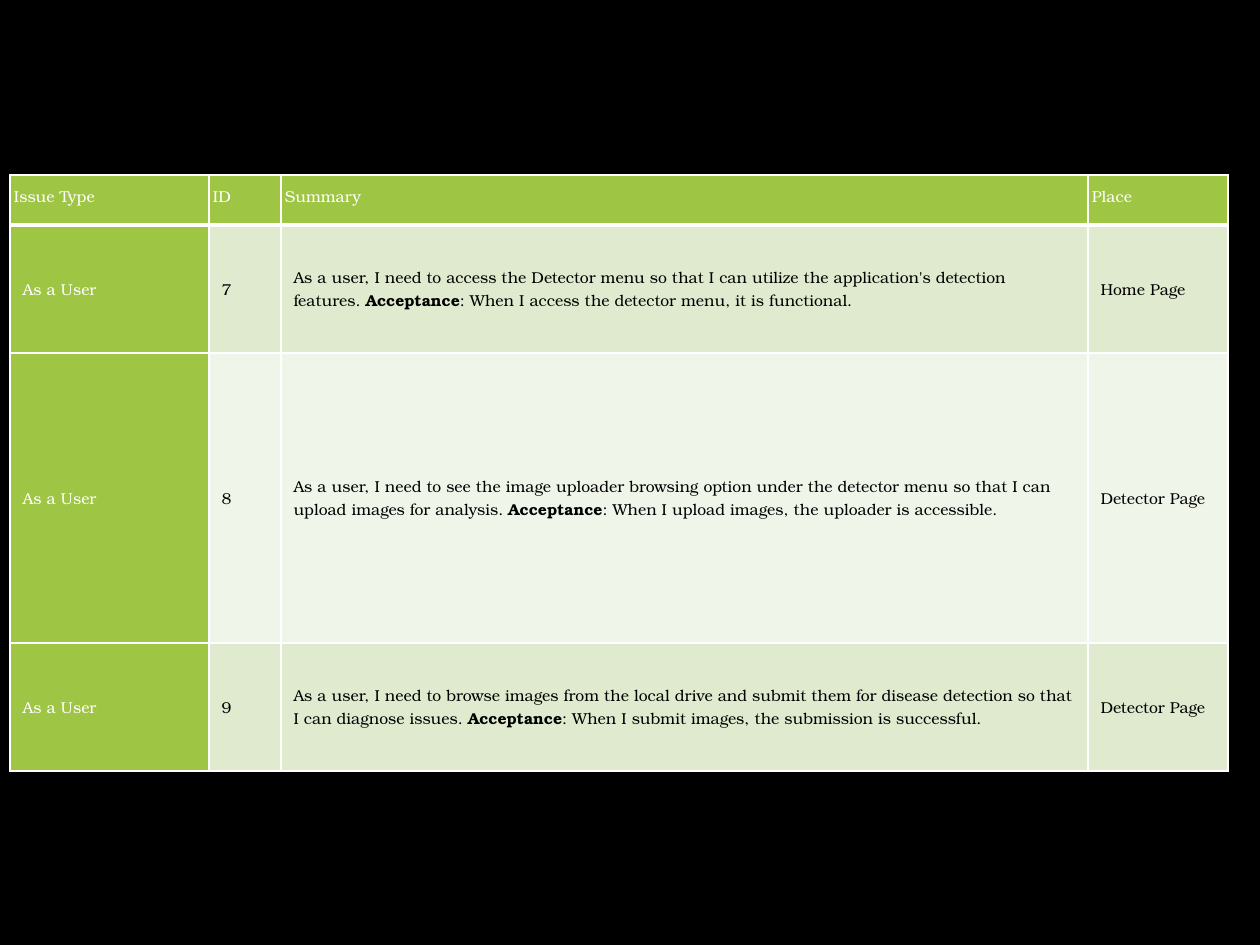
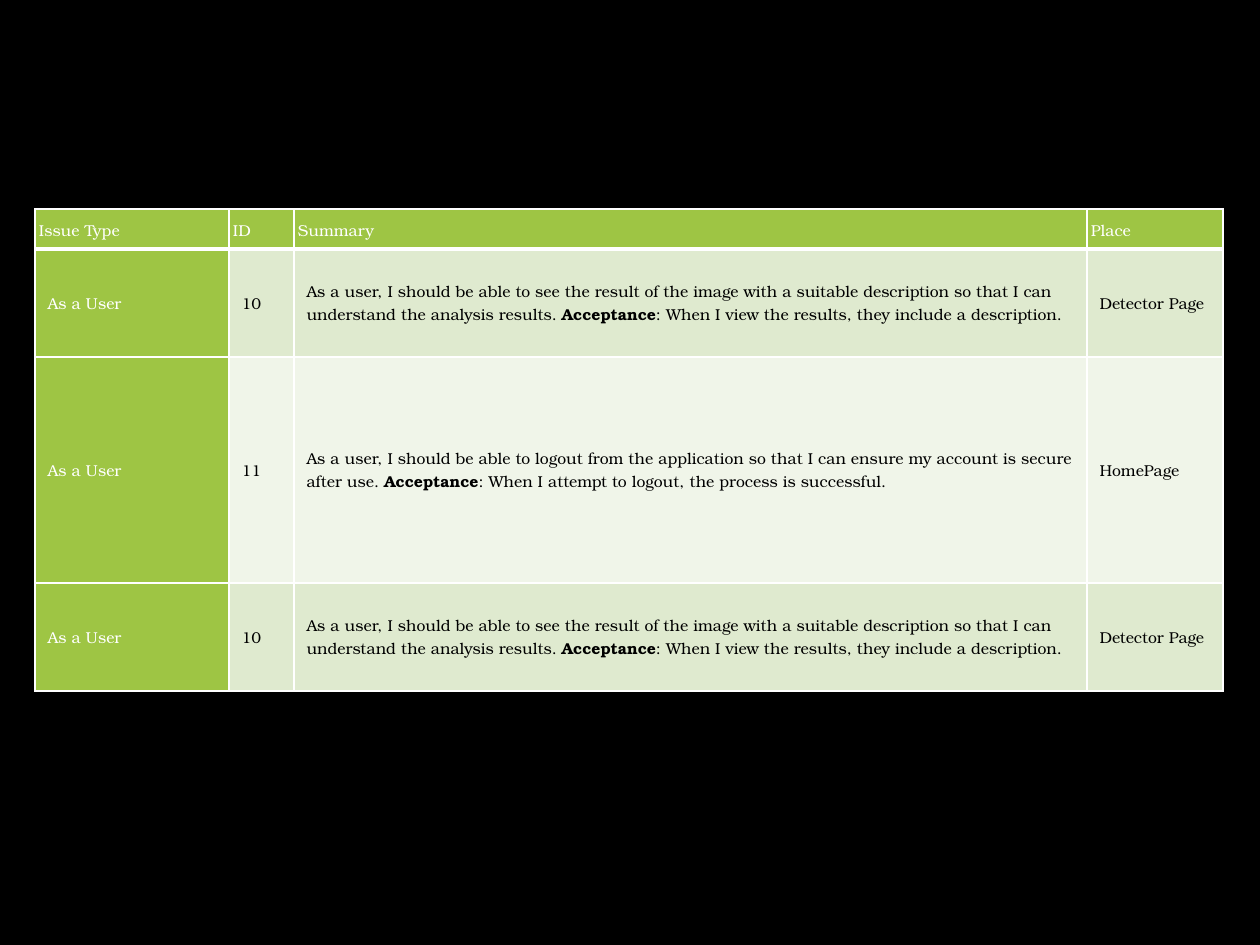
from dataclasses import dataclass

from lxml import etree
from pptx import Presentation
from pptx import util as u
from pptx.dml.color import RGBColor
from pptx.enum import text as t
from pptx.oxml import ns


@dataclass(frozen=True)
class Theme:
    """Colours, font and sizes shared by the slides."""
    back: str = "000000"
    ink: str = "000000"
    pale: str = "FFFFFF"
    green: str = "9EC544"
    bands: tuple = ("DFEACF", "F0F5E9")
    font: str = "TeX Gyre Bonum"
    size: int = 9
    thin: int = 1
    thick: int = 3


THEME = Theme()
HEADS = ("Issue Type", "ID", "Summary", "Place")
ROLE = "As a User"
RESULT = ("10", "As a user, I should be able to see the result of the image with a suitable "
          "description so that I can understand the analysis results. ",
          ": When I view the results, they include a description.", "Detector Page")

PAGES = (
    dict(left=10, top=175, cols=(199, 72, 807, 140), rows=(50, 128, 290, 128), stories=(
        ("7", "As a user, I need to access the Detector menu so that I can utilize the "
         "application's detection features. ",
         ": When I access the detector menu, it is functional.", "Home Page"),
        ("8", "As a user, I need to see the image uploader browsing option under the "
         "detector menu so that I can upload images for analysis. ",
         ": When I upload images, the uploader is accessible.", "Detector Page"),
        ("9", "As a user, I need to browse images from the local drive and submit them for "
         "disease detection so that I can diagnose issues. ",
         ": When I submit images, the submission is successful.", "Detector Page"))),
    dict(left=35, top=209, cols=(194, 65, 793, 136), rows=(40, 108, 226, 108), stories=(
        RESULT,
        ("11", "As a user, I should be able to logout from the application so that I can "
         "ensure my account is secure after use. ",
         ": When I attempt to logout, the process is successful.", "HomePage"),
        RESULT)),
)


def px(n):
    """Turn pixels into EMU."""
    return u.Emu(round(n * 914400 / 126))


def rgb(code):
    """Make a colour from its hex code."""
    return RGBColor.from_string(code)


def edge(cell, base):
    """Draw the four borders of a cell, the lower one base points wide."""
    props = cell._tc.get_or_add_tcPr()
    for side, width in zip("LRTB", (THEME.thin,) * 3 + (base,)):
        line = etree.SubElement(props, ns.qn(f"a:ln{side}"), w=str(u.Pt(width)))
        fill = etree.SubElement(line, ns.qn("a:solidFill"))
        etree.SubElement(fill, ns.qn("a:srgbClr"), val=THEME.pale)


def write(cell, runs, fill, ink, base=THEME.thin):
    """Fill a cell with (words, bold) runs and return its paragraph."""
    edge(cell, base)
    cell.fill.solid()
    cell.fill.fore_color.rgb = rgb(fill)
    para = cell.text_frame.paragraphs[0]
    for words, bold in runs:
        run = para.add_run()
        run.text = words
        if bold:
            run.font.bold = True
    para.font.name = THEME.font
    para.font.size = u.Pt(THEME.size)
    para.font.color.rgb = rgb(ink)
    return para


def header(cells):
    """Write the row of column heads."""
    for cell, name in zip(cells, HEADS):
        para = write(cell, [(name, False)], THEME.green, THEME.pale, THEME.thick)
        para.alignment = t.PP_ALIGN.JUSTIFY
        para.line_spacing = 1.5
        para.space_after = u.Pt(8)
        cell.margin_left = cell.margin_right = px(4)
        cell.margin_top = cell.margin_bottom = 0


def story(cells, entry, band):
    """Write one user story across a row."""
    code, need, check, place = entry
    texts = ([(ROLE, False)], [(code, False)],
             [(need, False), ("Acceptance", True), (check, False)], [(place, False)])
    for col, (cell, runs) in enumerate(zip(cells, texts)):
        fill, ink = (band, THEME.ink) if col else (THEME.green, THEME.pale)
        write(cell, runs, fill, ink)
        cell.vertical_anchor = t.MSO_ANCHOR.MIDDLE


def backlog(slide, left, top, cols, rows, stories):
    """Build the story table on a dark slide."""
    slide.background.fill.solid()
    slide.background.fill.fore_color.rgb = rgb(THEME.back)
    table = slide.shapes.add_table(len(rows), len(cols), px(left), px(top),
                                   px(sum(cols)), px(sum(rows))).table
    table.first_row = table.horz_banding = False
    for col, width in zip(table.columns, cols):
        col.width = px(width)
    for row, height in zip(table.rows, rows):
        row.height = px(height)
    head, *body = table.rows
    header(head.cells)
    for i, (row, entry) in enumerate(zip(body, stories)):
        story(row.cells, entry, THEME.bands[i % 2])


def main():
    """Build and save the deck."""
    deck = Presentation()
    deck.slide_width, deck.slide_height = px(1260), px(945)
    for page in PAGES:
        backlog(deck.slides.add_slide(deck.slide_layouts[6]), **page)
    deck.save("out.pptx")


if __name__ == "__main__":
    main()
